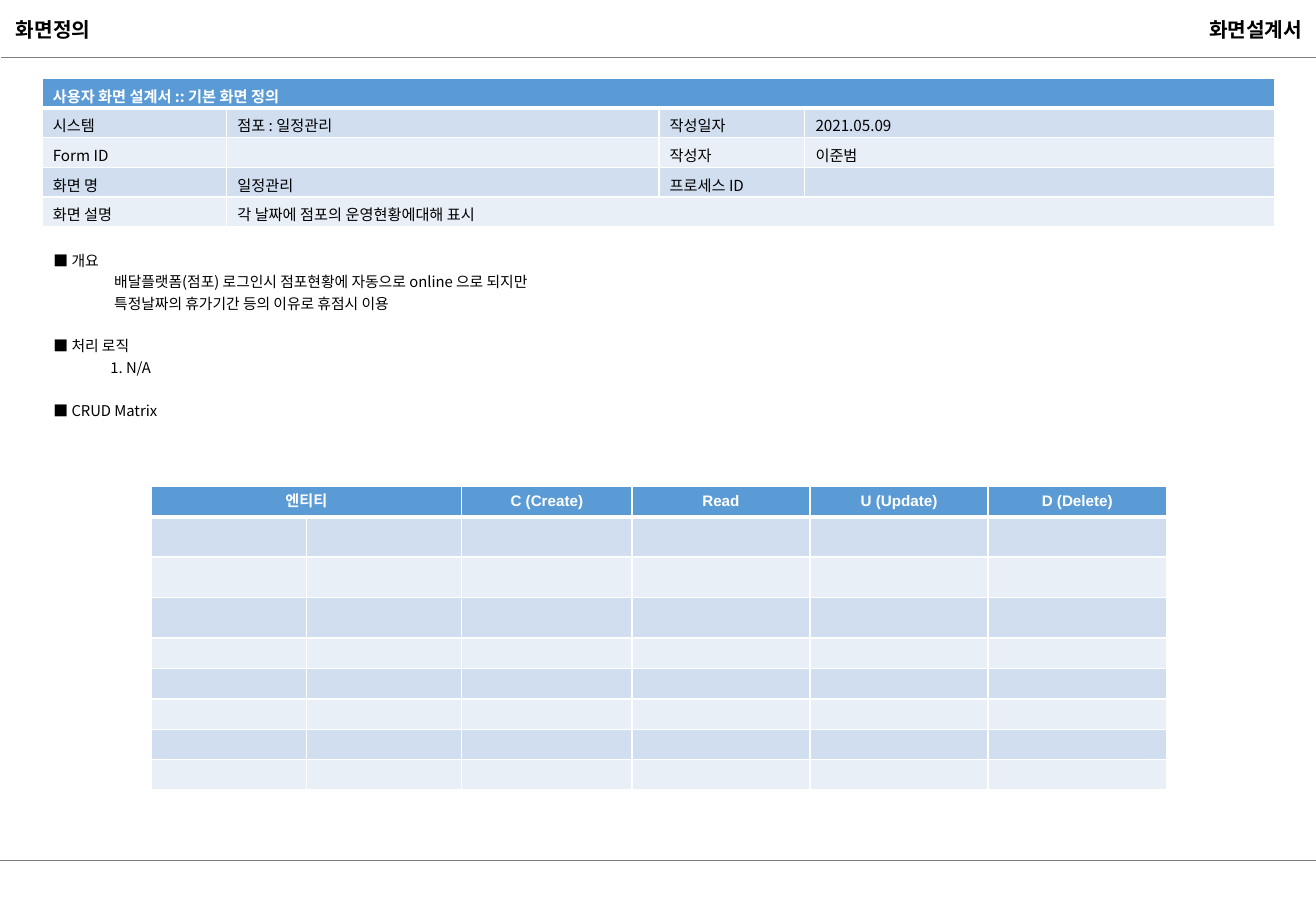
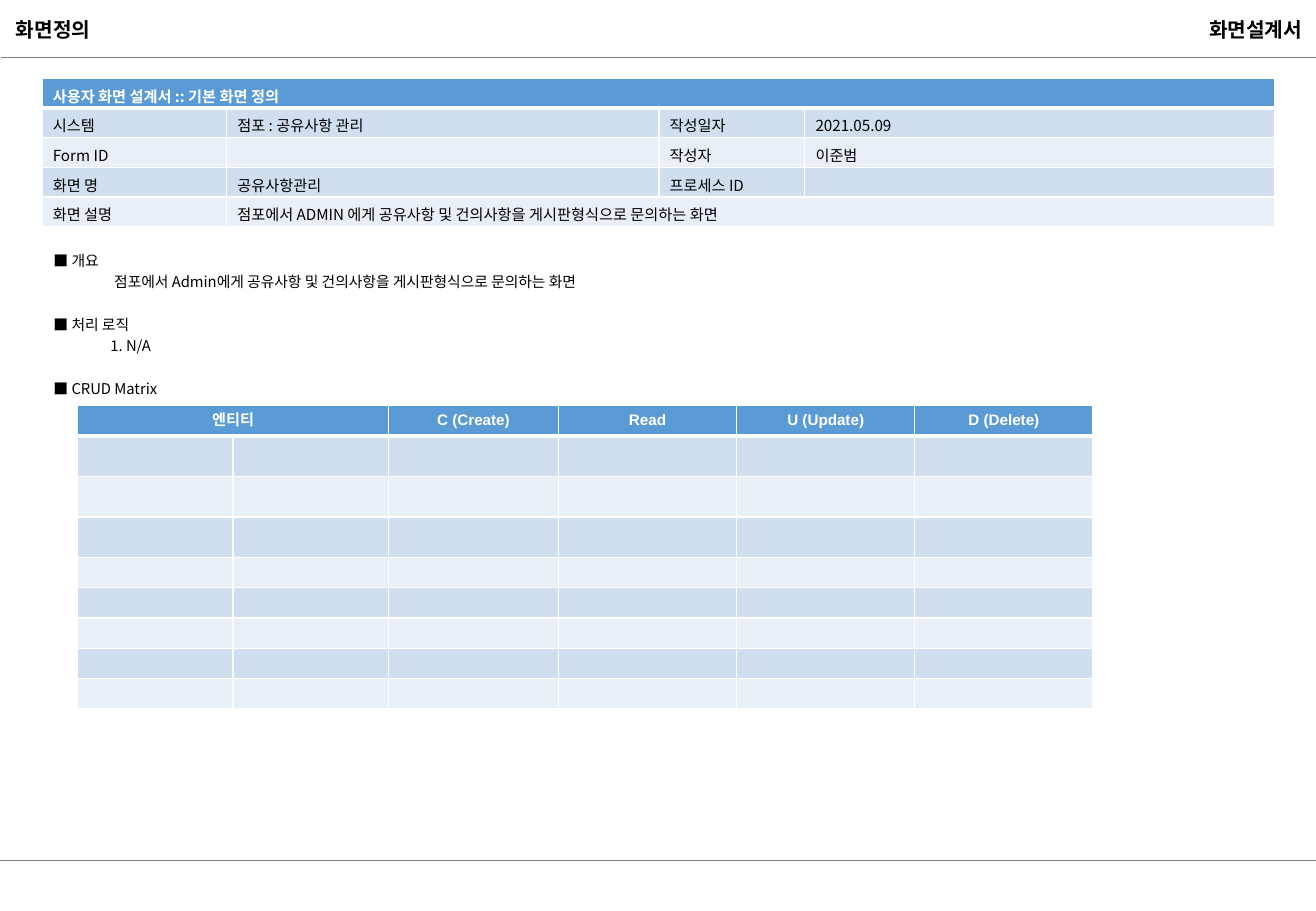
"""Builds the screen definition sheets of a screen design document."""
from dataclasses import dataclass

from lxml.etree import SubElement
from pptx import Presentation
from pptx.dml.color import RGBColor as Rgb
from pptx.enum.shapes import MSO_CONNECTOR as Connector
from pptx.enum.text import MSO_ANCHOR as Anchor, MSO_AUTO_SIZE as AutoSize, PP_ALIGN as Align
from pptx.oxml.ns import qn
from pptx.util import Pt


@dataclass(frozen=True)
class Theme:
    """Colours, fonts and type sizes of the document."""
    black: str = "000000"
    white: str = "FFFFFF"
    rule: str = "7F7F7F"
    header: str = "5B9BD5"
    bands: tuple = ("D0DEEF", "E9EFF7")
    korean: str = "Noto Sans CJK KR"
    latin: str = "Arial"
    title: float = 12
    cell: float = 9
    body: float = 8.8
    blank: float = 8
    line: float = 12.7


THEME = Theme()
PAGE_WIDTH, PAGE_HEIGHT = 780, 540
TITLE_AREA = (2.2, 6.5, 62.6, 21.6)
DOCUMENT_AREA = (558, 6.5, 221, 21.6)
BODY_AREA = (24.5, 143.3, 731.5, 95)
RULES = ((0.7, 34.2), (0, 510.2))
INFO_LEFT, INFO_TOP = 24.8, 46.5
INFO_COLUMNS = (109.4, 256.3, 86.4, 278.6)
INFO_ROWS = (17.6,) * 5
CRUD_COLUMNS = (92.1, 92.1, 100.8, 105.6, 105.6, 105.6)
CRUD_ROWS = (18,) + (24,) * 3 + (18,) * 5
CRUD_HEADERS = ("엔티티", "", "C (Create)", "Read", "U (Update)", "D (Delete)")
INFO_MARGINS = {"margin_left": 6.5, "margin_right": 6.5, "margin_top": 3.6, "margin_bottom": 0}
CRUD_MARGINS = {"margin_left": 7.2, "margin_right": 7.2, "margin_top": 3.6, "margin_bottom": 3.6}
BOX_MARGINS = CRUD_MARGINS

SCREENS = (
    {
        "system": "점포 : 일정관리",
        "name": "일정관리",
        "summary": "각 날짜에 점포의 운영현황에대해 표시",
        "overview": ("배달플랫폼(점포) 로그인시 점포현황에 자동으로 online 으로 되지만",
                     "특정날짜의 휴가기간 등의 이유로 휴점시 이용"),
        "crud_at": (89.5, 288.3),
    },
    {
        "system": "점포 : 공유사항 관리",
        "name": "공유사항관리",
        "summary": "점포에서 ADMIN 에게 공유사항 및 건의사항을 게시판형식으로 문의하는 화면",
        "overview": ("점포에서 Admin에게 공유사항 및 건의사항을 게시판형식으로 문의하는 화면",),
        "crud_at": (46, 240.4),
    },
)


def apply(target, formats):
    """Set every format value on the target."""
    for name, value in formats.items():
        setattr(target, name, value)


def place(shape, area):
    """Move a shape to an area given in points."""
    apply(shape, dict(zip(("left", "top", "width", "height"), map(Pt, area))))


def set_margins(target, margins):
    """Set inner margins given in points."""
    apply(target, {side: Pt(size) for side, size in margins.items()})


def write(para, text, size, color=THEME.black, bold=False, font=THEME.korean):
    """Add one formatted span for Latin and Korean text."""
    span = para.add_run()
    span.text = text
    apply(span.font, {"size": Pt(size), "bold": bold, "name": font})
    span.font.color.rgb = Rgb.from_string(color)
    SubElement(span.font._element, qn("a:ea"), typeface=font)


def add_heading(box, text, align):
    """Write a bold heading on one line of the top band."""
    frame = box.text_frame
    apply(frame, {"word_wrap": True, "auto_size": AutoSize.NONE,
                  "vertical_anchor": Anchor.MIDDLE})
    set_margins(frame, BOX_MARGINS)
    frame.paragraphs[0].alignment = align
    write(frame.paragraphs[0], text, THEME.title, bold=True)


def add_rule(page, left, top):
    """Draw a thin rule to the right edge of the page."""
    rule = page.shapes.add_connector(Connector.STRAIGHT, Pt(left), Pt(top),
                                     Pt(PAGE_WIDTH), Pt(top))
    rule.line.width = Pt(0.75)
    rule.line.color.rgb = Rgb.from_string(THEME.rule)
    SubElement(rule.element.spPr, qn("a:effectLst"))
    return rule


def share_frame(layout, page):
    """Place the layout's placeholders and move the common frame onto it."""
    title, body, *unused = layout.placeholders
    for holder in unused:
        layout.shapes.element.remove(holder.element)
    place(title, TITLE_AREA)
    place(body, BODY_AREA)
    document = page.shapes.add_textbox(*map(Pt, DOCUMENT_AREA))
    add_heading(document, "화면설계서", Align.RIGHT)
    for shape in [document] + [add_rule(page, *start) for start in RULES]:
        layout.shapes.element.append(shape.element)


def add_border(cell, side, width):
    """Draw one white border of a cell."""
    line = SubElement(cell._tc.get_or_add_tcPr(), qn(f"a:ln{side}"), w=str(Pt(width)))
    fill = SubElement(line, qn("a:solidFill"))
    SubElement(fill, qn("a:srgbClr"), val=THEME.white)


def format_cell(cell, row, margins):
    """Give a cell its borders, banded fill and margins."""
    for side, thick_row in (("L", None), ("R", None), ("T", 1), ("B", 0)):
        add_border(cell, side, 3 if row == thick_row else 1)
    cell.fill.solid()
    color = THEME.bands[(row - 1) % 2] if row else THEME.header
    cell.fill.fore_color.rgb = Rgb.from_string(color)
    set_margins(cell, margins)


def add_grid(page, at, columns, rows, texts, margins, font, header_align):
    """Add a banded table whose texts are given by row."""
    area = (*at, sum(columns), sum(rows))
    table = page.shapes.add_table(len(rows), len(columns), *map(Pt, area)).table
    apply(table, {"first_row": False, "horz_banding": False})
    for column, width in zip(table.columns, columns):
        column.width = Pt(width)
    for row, height in enumerate(rows):
        table.rows[row].height = Pt(height)
        for column in range(len(columns)):
            cell = table.cell(row, column)
            format_cell(cell, row, margins)
            para = cell.text_frame.paragraphs[0]
            text = texts[row][column] if row < len(texts) else ""
            if text:
                para.alignment = Align.LEFT if row else header_align
                write(para, text, THEME.cell, THEME.black if row else THEME.white,
                      not row, font)
            else:
                SubElement(para._p, qn("a:endParaRPr"), sz=str(int(THEME.blank * 100)))
    return table


def add_info_table(page, screen):
    """Add the table that identifies the screen."""
    texts = (
        ("사용자 화면 설계서 :: 기본 화면 정의", "", "", ""),
        ("시스템", screen["system"], "작성일자", "2021.05.09"),
        ("Form ID", "", "작성자", "이준범"),
        ("화면 명", screen["name"], "프로세스 ID", ""),
        ("화면 설명", screen["summary"], "", ""),
    )
    table = add_grid(page, (INFO_LEFT, INFO_TOP), INFO_COLUMNS, INFO_ROWS, texts,
                     INFO_MARGINS, THEME.korean, Align.LEFT)
    table.cell(0, 0).merge(table.cell(0, 3))
    table.cell(4, 1).merge(table.cell(4, 3))


def add_crud_table(page, at):
    """Add the empty matrix of entities and operations."""
    table = add_grid(page, at, CRUD_COLUMNS, CRUD_ROWS, (CRUD_HEADERS,),
                     CRUD_MARGINS, THEME.latin, Align.CENTER)
    table.cell(0, 0).merge(table.cell(0, 1))


def fill_body(box, overview):
    """Write the sections with their indented lines."""
    frame = box.text_frame
    apply(frame, {"word_wrap": True, "auto_size": AutoSize.NONE,
                  "vertical_anchor": Anchor.TOP})
    set_margins(frame, BOX_MARGINS)
    sections = (("■ 개요", overview, 36), ("■ 처리 로직", ("1. N/A",), 33.8),
                ("■ CRUD Matrix", (), 0))
    lines = []
    for number, (heading, details, indent) in enumerate(sections):
        lines.append((heading, 0, 0, THEME.line if number else 0))
        lines += [(detail, 1, indent, 0) for detail in details]
    for number, (text, level, indent, gap) in enumerate(lines):
        para = frame.add_paragraph() if number else frame.paragraphs[0]
        apply(para, {"level": level, "alignment": Align.LEFT, "line_spacing": Pt(THEME.line),
                     "space_before": Pt(gap), "space_after": Pt(0)})
        properties = para._p.get_or_add_pPr()
        properties.set("marL", str(Pt(indent)))
        properties.set("indent", "0")
        SubElement(properties, qn("a:buNone"))
        write(para, text, THEME.body)


def main():
    """Build and save the document."""
    deck = Presentation()
    apply(deck, {"slide_width": Pt(PAGE_WIDTH), "slide_height": Pt(PAGE_HEIGHT)})
    layout = deck.slide_layouts[1]
    pages = [deck.slides.add_slide(layout) for _ in SCREENS]
    share_frame(layout, pages[0])
    for page, screen in zip(pages, SCREENS):
        title, body = page.placeholders
        add_heading(title, "화면정의", Align.LEFT)
        add_info_table(page, screen)
        fill_body(body, screen["overview"])
        add_crud_table(page, screen["crud_at"])
    deck.save("out.pptx")


main()
